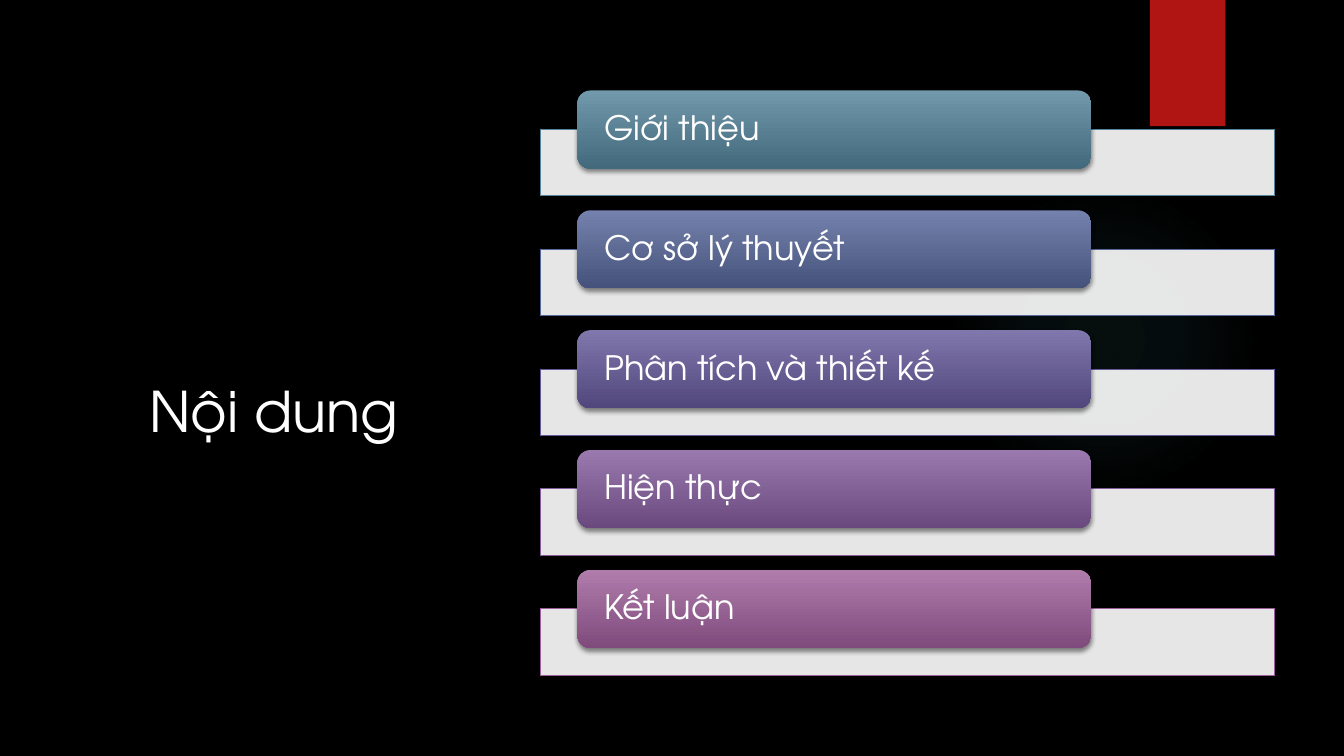
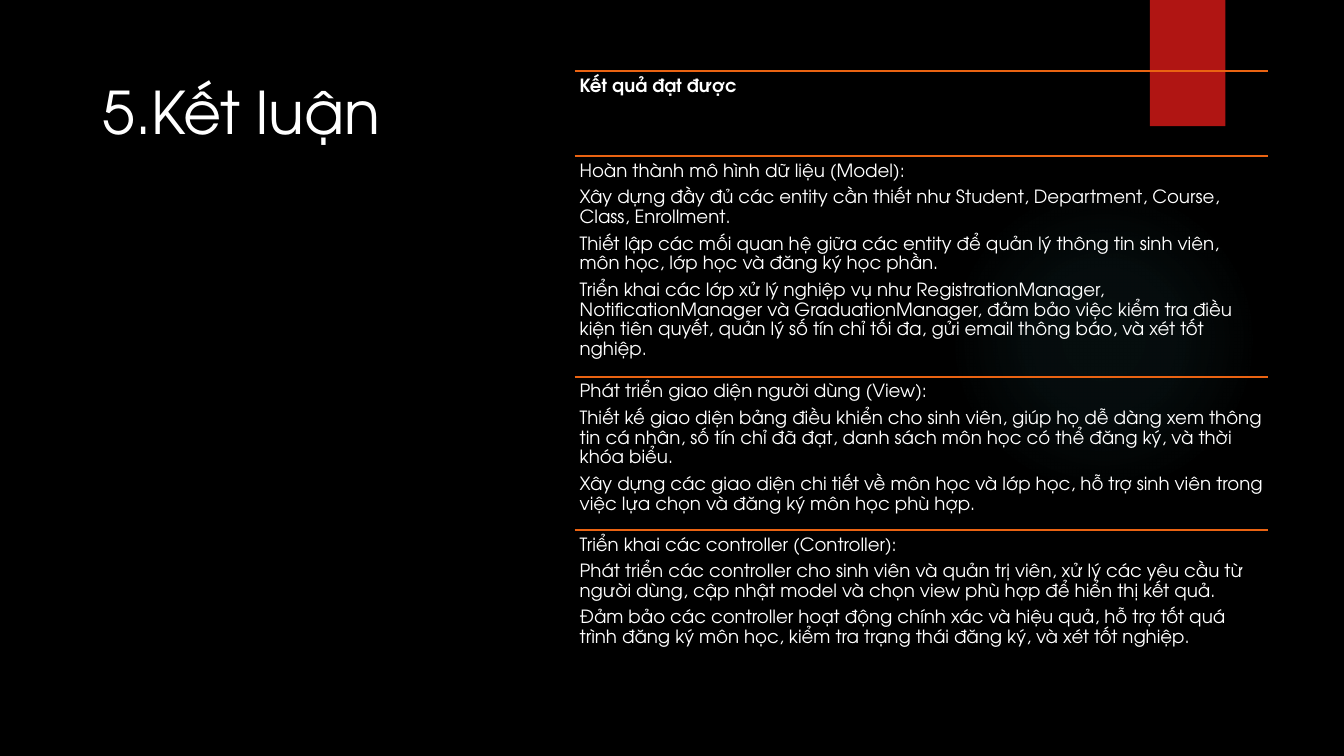
"""Build the agenda and conclusion slides of a student-management presentation."""
from dataclasses import dataclass
from itertools import pairwise
from typing import NamedTuple

from lxml.etree import SubElement
from pptx import Presentation
from pptx.dml.color import RGBColor
from pptx.enum.shapes import MSO_CONNECTOR, MSO_SHAPE
from pptx.enum.text import MSO_ANCHOR, PP_ALIGN
from pptx.oxml.ns import qn
from pptx.shapes.autoshape import Shape
from pptx.slide import Slide
from pptx.text.text import TextFrame
from pptx.util import Cm, Pt


@dataclass(frozen=True)
class Theme:
    font: str = "TeX Gyre Adventor"
    background: str = "000000"
    text: str = "FFFFFF"
    ribbon: str = "B01513"
    glow: str = "50B9C1"
    rule: str = "EA6312"
    bar: str = "FFFFFF"
    bar_opacity: int = 90
    agenda_title_size: int = 40
    title_size: int = 42
    topic_size: int = 24
    body_size: int = 13
    line_spacing: float = 0.9
    space_after: float = 0.38


class Box(NamedTuple):
    left: float
    top: float
    width: float
    height: float


class Stop(NamedTuple):
    position: int
    color: str
    opacity: int = 100


class Topic(NamedTuple):
    label: str
    light: str
    dark: str
    outline: str


class Section(NamedTuple):
    top: float
    paragraphs: list[str]
    bold: bool = False


THEME = Theme()

TOPICS = [
    Topic("Giới thiệu", "7198AB", "436A7C", "54849A"),
    Topic("Cơ sở lý thuyết", "7481AC", "45537C", "56689B"),
    Topic("Phân tích và thiết kế", "8077AC", "51477D", "65599C"),
    Topic("Hiện thực", "9979AE", "6A497E", "845B9D"),
    Topic("Kết luận", "AF7CAC", "7F4B7C", "9E5E9B"),
]
TOPIC_PITCH = 3.02

SECTIONS = [
    Section(1.8, ["Kết quả đạt được"], bold=True),
    Section(3.94, [
        "Hoàn thành mô hình dữ liệu (Model):",
        "Xây dựng đầy đủ các entity cần thiết như Student, Department, Course, "
        "Class, Enrollment.",
        "Thiết lập các mối quan hệ giữa các entity để quản lý thông tin sinh viên, "
        "môn học, lớp học và đăng ký học phần.",
        "Triển khai các lớp xử lý nghiệp vụ như RegistrationManager, "
        "NotificationManager và GraduationManager, đảm bảo việc kiểm tra điều kiện "
        "tiên quyết, quản lý số tín chỉ tối đa, gửi email thông báo, và xét tốt nghiệp.",
    ]),
    Section(9.5, [
        "Phát triển giao diện người dùng (View):",
        "Thiết kế giao diện bảng điều khiển cho sinh viên, giúp họ dễ dàng xem "
        "thông tin cá nhân, số tín chỉ đã đạt, danh sách môn học có thể đăng ký, "
        "và thời khóa biểu.",
        "Xây dựng các giao diện chi tiết về môn học và lớp học, hỗ trợ sinh viên "
        "trong việc lựa chọn và đăng ký môn học phù hợp.",
    ]),
    Section(13.36, [
        "Triển khai các controller (Controller):",
        "Phát triển các controller cho sinh viên và quản trị viên, xử lý các yêu cầu "
        "từ người dùng, cập nhật model và chọn view phù hợp để hiển thị kết quả.",
        "Đảm bảo các controller hoạt động chính xác và hiệu quả, hỗ trợ tốt quá trình "
        "đăng ký môn học, kiểm tra trạng thái đăng ký, và xét tốt nghiệp.",
    ]),
]
SECTIONS_LEFT, SECTIONS_WIDTH, SECTIONS_BOTTOM = 14.48, 17.47, 17.15


def rgb(color: str) -> RGBColor:
    return RGBColor.from_string(color)


def add_opacity(color_element, percent: int) -> None:
    if percent < 100:
        SubElement(color_element, qn("a:alpha"), val=str(percent * 1000))


def add_panel(slide: Slide, kind: MSO_SHAPE, box: Box, *, fill: str,
              opacity: int = 100, outline: str | None = None,
              shadow: bool = False) -> Shape:
    panel = slide.shapes.add_shape(kind, *map(Cm, box))
    panel.fill.solid()
    panel.fill.fore_color.rgb = rgb(fill)
    add_opacity(panel._element.spPr.find(f".//{qn('a:srgbClr')}"), opacity)
    if outline:
        panel.line.color.rgb = rgb(outline)
        panel.line.width = Pt(0.75)
    else:
        panel.line.fill.background()
    panel.shadow.inherit = False
    if shadow:
        effects = panel._element.spPr.find(qn("a:effectLst"))
        outer = SubElement(effects, qn("a:outerShdw"), blurRad=str(Pt(3)),
                           dist=str(Pt(2)), dir="5400000", rotWithShape="0")
        add_opacity(SubElement(outer, qn("a:srgbClr"), val="000000"), 45)
    return panel


def apply_gradient(panel: Shape, stops: list[Stop], *, radial: bool = False) -> None:
    properties = panel._element.spPr
    gradient = SubElement(properties, qn("a:gradFill"), rotWithShape="1")
    stop_list = SubElement(gradient, qn("a:gsLst"))
    for stop in stops:
        entry = SubElement(stop_list, qn("a:gs"), pos=str(stop.position * 1000))
        add_opacity(SubElement(entry, qn("a:srgbClr"), val=stop.color), stop.opacity)
    if radial:
        circle = SubElement(gradient, qn("a:path"), path="circle")
        SubElement(circle, qn("a:fillToRect"),
                   dict.fromkeys("ltrb", "50000"))
    else:
        SubElement(gradient, qn("a:lin"), ang="5400000", scaled="0")
    properties.replace(properties.find(qn("a:solidFill")), gradient)


def write_text(frame: TextFrame, paragraphs: list[str], *, size: int,
               bold: bool = False, align: PP_ALIGN = PP_ALIGN.LEFT,
               anchor: MSO_ANCHOR = MSO_ANCHOR.TOP,
               inset_x: float = 0.25, inset_y: float = 0.13,
               line_spacing: float = 1.0, space_after: float = 0) -> None:
    frame.word_wrap = True
    frame.vertical_anchor = anchor
    frame.margin_left = frame.margin_right = Cm(inset_x)
    frame.margin_top = frame.margin_bottom = Cm(inset_y)
    for index, text in enumerate(paragraphs):
        paragraph = frame.add_paragraph() if index else frame.paragraphs[0]
        paragraph.alignment = align
        paragraph.line_spacing = line_spacing
        paragraph.space_after = Pt(size * space_after)
        run = paragraph.add_run()
        run.text = text
        run.font.name = THEME.font
        run.font.size = Pt(size)
        run.font.bold = bold
        run.font.color.rgb = rgb(THEME.text)


def add_text(slide: Slide, box: Box, paragraphs: list[str], **text_format) -> None:
    write_text(slide.shapes.add_textbox(*map(Cm, box)).text_frame,
               paragraphs, **text_format)


def add_rule(slide: Slide, left: float, top: float, width: float) -> None:
    rule = slide.shapes.add_connector(
        MSO_CONNECTOR.STRAIGHT, Cm(left), Cm(top), Cm(left + width), Cm(top))
    rule.line.color.rgb = rgb(THEME.rule)
    rule.line.width = Pt(1.5)
    SubElement(rule._element.spPr, qn("a:effectLst"))


def add_base_slide(prs: Presentation) -> Slide:
    slide = prs.slides.add_slide(prs.slide_layouts[6])
    glow = add_panel(slide, MSO_SHAPE.OVAL, Box(23.9, 4.65, 7.82, 7.82),
                     fill=THEME.glow)
    apply_gradient(glow, [Stop(0, THEME.glow, 7), Stop(36, THEME.glow, 6),
                          Stop(69, THEME.glow, 0)], radial=True)
    add_panel(slide, MSO_SHAPE.RECTANGLE, Box(28.98, 0, 1.9, 3.18),
              fill=THEME.ribbon, shadow=True)
    return slide


def add_topic(slide: Slide, topic: Topic, offset: float) -> None:
    add_panel(slide, MSO_SHAPE.RECTANGLE, Box(13.61, 3.26 + offset, 18.52, 1.68),
              fill=THEME.bar, opacity=THEME.bar_opacity, outline=topic.outline)
    tab = add_panel(slide, MSO_SHAPE.ROUNDED_RECTANGLE,
                    Box(14.55, 2.28 + offset, 12.95, 1.97),
                    fill=topic.light, shadow=True)
    apply_gradient(tab, [Stop(0, topic.light), Stop(100, topic.dark)])
    write_text(tab.text_frame, [topic.label], size=THEME.topic_size,
               anchor=MSO_ANCHOR.MIDDLE, inset_x=0.58, inset_y=0,
               line_spacing=THEME.line_spacing, space_after=THEME.space_after)


def build_agenda(prs: Presentation) -> None:
    slide = add_base_slide(prs)
    add_text(slide, Box(1.63, 4.67, 8.66, 6.65), ["Nội dung"],
             size=THEME.agenda_title_size, align=PP_ALIGN.RIGHT,
             anchor=MSO_ANCHOR.BOTTOM)
    for index, topic in enumerate(TOPICS):
        add_topic(slide, topic, index * TOPIC_PITCH)


def build_conclusion(prs: Presentation) -> None:
    slide = add_base_slide(prs)
    add_text(slide, Box(2.34, 1.78, 8.2, 15.47), ["5.Kết luận"],
             size=THEME.title_size)
    edges = [section.top for section in SECTIONS] + [SECTIONS_BOTTOM]
    for section, (top, bottom) in zip(SECTIONS, pairwise(edges)):
        add_rule(slide, SECTIONS_LEFT, top, SECTIONS_WIDTH)
        add_text(slide, Box(SECTIONS_LEFT, top, SECTIONS_WIDTH, bottom - top),
                 section.paragraphs, size=THEME.body_size, bold=section.bold,
                 inset_x=0.13, line_spacing=THEME.line_spacing,
                 space_after=THEME.space_after)


def main() -> None:
    prs = Presentation()
    prs.slide_width, prs.slide_height = Cm(33.87), Cm(19.05)
    backdrop = prs.slide_master.background.fill
    backdrop.solid()
    backdrop.fore_color.rgb = rgb(THEME.background)
    build_agenda(prs)
    build_conclusion(prs)
    prs.save("out.pptx")


if __name__ == "__main__":
    main()
